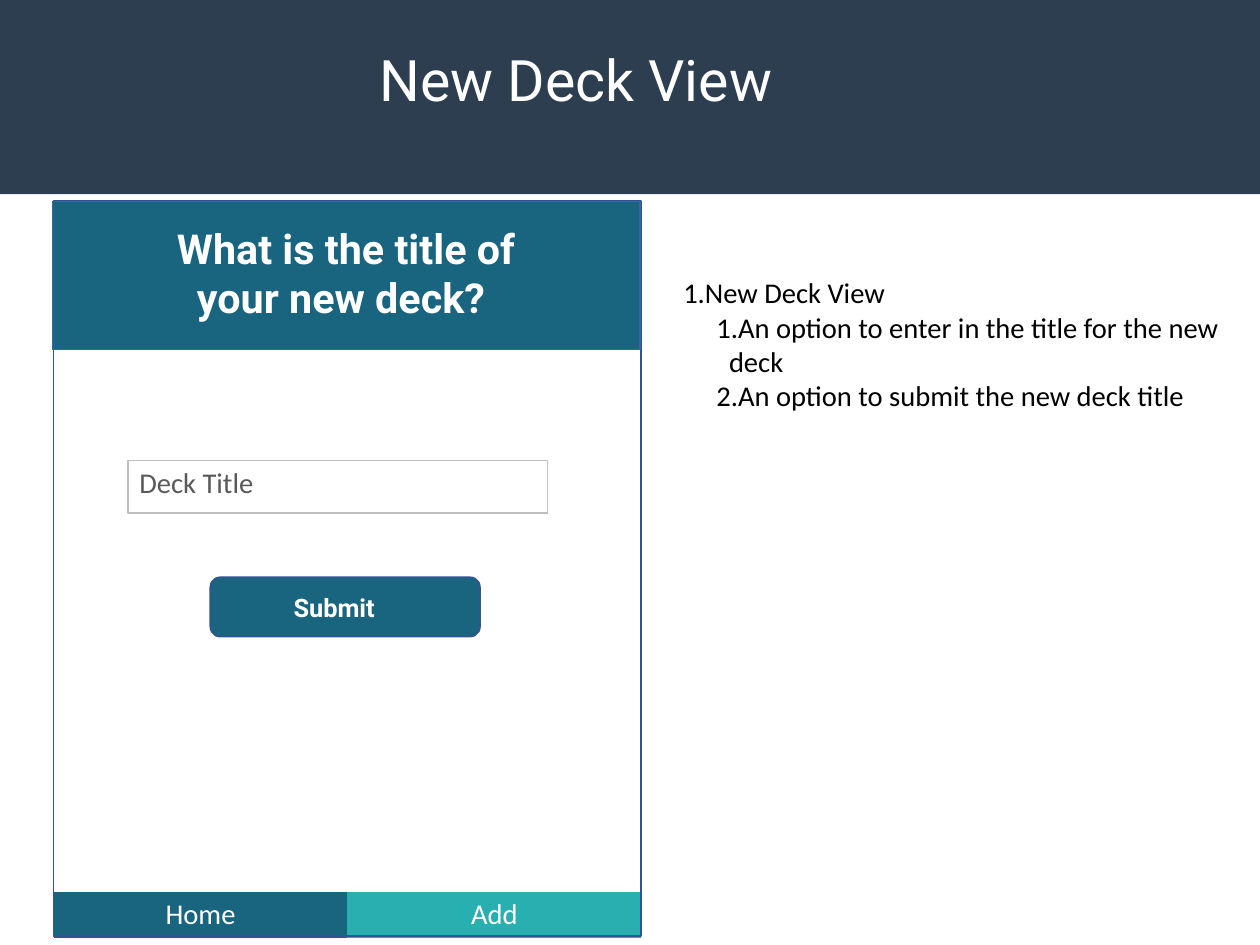
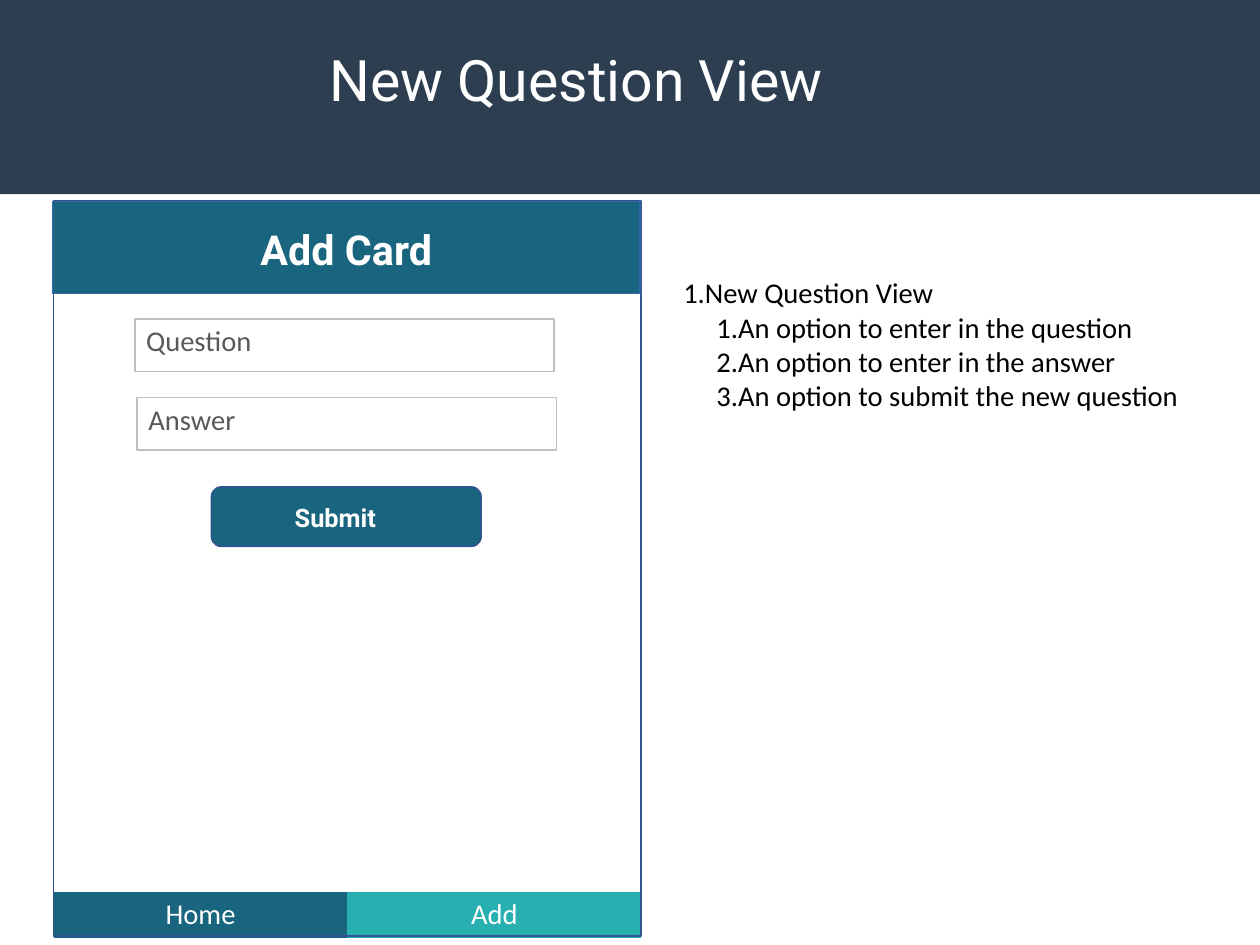
"""Build two wireframe slides: the new deck view and the new question view."""
from lxml import etree
from pptx import Presentation
from pptx.dml.color import RGBColor
from pptx.enum.shapes import MSO_SHAPE
from pptx.enum.text import MSO_ANCHOR, PP_ALIGN
from pptx.oxml.ns import qn
from pptx.util import Cm, Inches, Pt

RECT, ROUNDED = MSO_SHAPE.RECTANGLE, MSO_SHAPE.ROUNDED_RECTANGLE
LEFT, CENTER = PP_ALIGN.LEFT, PP_ALIGN.CENTER
TOP, MIDDLE = MSO_ANCHOR.TOP, MSO_ANCHOR.MIDDLE

COLORS = {
    "band": "2C3E50", "primary": "19647E", "accent": "28AFB0",
    "frame": "325491", "header_line": "3465A4", "field_line": "BFBFBF",
    "hint": "595959", "white": "FFFFFF", "black": "000000",
}
NO_GRID_STYLE = "{2D5ABB26-0587-4C30-8999-92F81FD0307C}"

SLIDE_W, SLIDE_H = Cm(28), Cm(21)
PHONE_X, PHONE_Y, PHONE_W, PHONE_H = 0.46, 1.76, 5.14, 6.43
FIELD_W, FIELD_H = 3.67, 0.46
BUTTON_W, BUTTON_H = 2.36, 0.52
TABS = [("Home", "primary"), ("Add", "accent")]
TAB_Y, TAB_H = 7.8, 0.4

VIEWS = [
    {
        "title": "New Deck View",
        "header": ("What is the title of your new deck? ", 1.3),
        "header_text": (1.13, 1.9, 3.8, 0.94),
        "fields": [("Deck Title", 1.12, 4.03)],
        "button": (1.84, 5.05),
        "options": ["An option to enter in the title for the new deck",
                    "An option to submit the new deck title"],
    },
    {
        "title": "New Question View",
        "header": ("Add Card", 0.81),
        "header_text": (1.64, 1.91, 2.78, 0.52),
        "fields": [("Question", 1.18, 2.79), ("Answer", 1.2, 3.48)],
        "button": (1.85, 4.26),
        "options": ["An option to enter in the question",
                    "An option to enter in the answer",
                    "An option to submit the new question"],
    },
]


def add_box(slide, kind, area, fill, line, width=1):
    """Add a preset shape; a fill or line of None is left out."""
    box = slide.shapes.add_shape(kind, *map(Inches, area))
    box.shadow.inherit = False
    if fill:
        box.fill.solid()
        box.fill.fore_color.rgb = RGBColor.from_string(COLORS[fill])
    else:
        box.fill.background()
    if line:
        box.line.color.rgb = RGBColor.from_string(COLORS[line])
        box.line.width = Pt(width)
    else:
        box.line.fill.background()
    return box


def write(frame, text, size, font, color, align=LEFT, bold=False, anchor=TOP):
    """Write one styled run in the last paragraph of a text frame."""
    frame.word_wrap = True
    frame.vertical_anchor = anchor
    paragraph = frame.paragraphs[-1]
    paragraph.alignment = align
    run = paragraph.add_run()
    run.text = text
    run.font.size = Pt(size)
    run.font.name = font
    run.font.bold = bold
    run.font.color.rgb = RGBColor.from_string(COLORS[color])
    return paragraph


prs = Presentation()
prs.slide_width, prs.slide_height = SLIDE_W, SLIDE_H
layout = prs.slide_layouts[5]
layout_title = layout.placeholders[0]
layout_title.left, layout_title.top = Inches(0.55), Inches(0.32)
layout_title.width, layout_title.height = Inches(8.98), Inches(0.81)

for number, view in enumerate(VIEWS):
    slide = prs.slides.add_slide(layout)
    if number == 0:
        band = add_box(slide, RECT, (0, -0.07, SLIDE_W.inches, 1.77),
                       "band", None)
        layout.shapes.element.insert(2, band.element)

    title = write(slide.shapes.title.text_frame, view["title"], 36, "Roboto",
                  "white", CENTER, anchor=MIDDLE)
    title.line_spacing = 0.9

    tab_bar = slide.shapes.add_table(
        1, len(TABS), *map(Inches, (PHONE_X + 0.01, TAB_Y, PHONE_W, TAB_H)))
    tab_bar.table.first_row = tab_bar.table.horz_banding = False
    for style in tab_bar.element.iter(qn("a:tableStyleId")):
        style.text = NO_GRID_STYLE
    for cell, (tab, color) in zip(tab_bar.table.rows[0].cells, TABS):
        cell.fill.solid()
        cell.fill.fore_color.rgb = RGBColor.from_string(COLORS[color])
        write(cell.text_frame, tab, 18, "Calibri", "white", CENTER)

    add_box(slide, RECT, (PHONE_X + 0.01, PHONE_Y, PHONE_W, PHONE_H),
            None, "frame")
    question, header_h = view["header"]
    add_box(slide, RECT, (PHONE_X, PHONE_Y, PHONE_W, header_h),
            "primary", "header_line", 0)
    heading = slide.shapes.add_textbox(*map(Inches, view["header_text"]))
    write(heading.text_frame, question, 26, "Roboto", "white", CENTER, True)

    notes = slide.shapes.add_textbox(*map(Inches, (5.88, 2.36, 5, 1.31)))
    for row, text in enumerate([view["title"], *view["options"]]):
        if row:
            notes.text_frame.add_paragraph()
        note = write(notes.text_frame, text, 18, "Calibri", "black")
        note.level = 1 if row else 0
        margin, indent = (0.4, -0.11) if row else (0.09, -0.09)
        properties = note._p.get_or_add_pPr()
        properties.set("marL", str(Inches(margin)))
        properties.set("indent", str(Inches(indent)))
        etree.SubElement(properties, qn("a:buAutoNum"), type="arabicPeriod")

    for hint, x, y in view["fields"]:
        add_box(slide, RECT, (x, y, FIELD_W, FIELD_H), "white", "field_line")
        label = slide.shapes.add_textbox(*map(Inches, (x, y - 0.01, 2.02, 0.4)))
        write(label.text_frame, hint, 18, "Calibri", "hint")

    x, y = view["button"]
    add_box(slide, ROUNDED, (x, y, BUTTON_W, BUTTON_H), "primary", "frame")
    submit = slide.shapes.add_textbox(
        *map(Inches, (x + 0.63, y + 0.08, 1.12, 0.36)))
    write(submit.text_frame, "Submit", 16, "Roboto", "white", bold=True)

prs.save("out.pptx")
